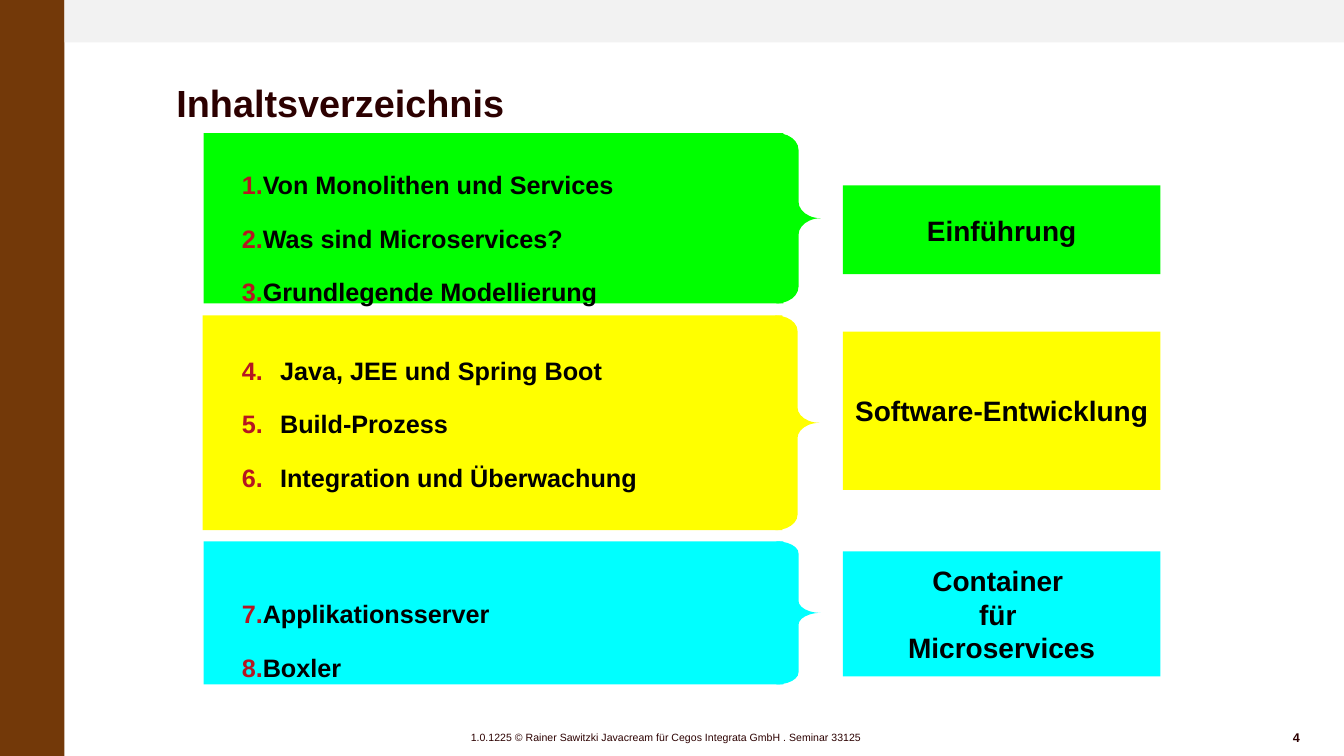
import pptx
import pptx.util
import pptx.dml.color
import pptx.enum.shapes
import pptx.enum.text
from lxml import etree

Inches = pptx.util.Inches
Pt = pptx.util.Pt
SHAPES = pptx.enum.shapes.MSO_SHAPE
ALIGN = pptx.enum.text.PP_ALIGN
ANCHOR = pptx.enum.text.MSO_ANCHOR
COLORS = {
    "brown": "733909", "gray": "F2F2F2", "dark": "2C0000", "black": "000000",
    "red": "B51621", "green": "00FF00", "yellow": "FFFF00", "cyan": "00FFFF",
}

presentation = pptx.Presentation()
presentation.slide_width = Inches(13.33)
presentation.slide_height = Inches(7.5)
slide = presentation.slides.add_slide(presentation.slide_layouts[6])


def add_block(kind, left, top, width, height, color):
    shape = slide.shapes.add_shape(
        kind, Inches(left), Inches(top), Inches(width), Inches(height))
    shape.shadow.inherit = False
    shape.fill.solid()
    shape.fill.fore_color.rgb = pptx.dml.color.RGBColor.from_string(COLORS[color])
    shape.line.fill.background()
    return shape


def add_text(paragraph, text, size, color, bold=True):
    run = paragraph.add_run()
    run.text = text
    run.font.name = "Arial"
    run.font.size = Pt(size)
    run.font.bold = bold
    run.font.color.rgb = pptx.dml.color.RGBColor.from_string(COLORS[color])


# Page frame
add_block(SHAPES.RECTANGLE, 0, 0, 0.64, 7.5, "brown")
add_block(SHAPES.RECTANGLE, 0.64, 0, 12.69, 0.42, "gray")

# Title, footer and page number: box, margins, anchor, alignment, text, size, bold
labels = [
    ((1.63, 0.77, 11.37, 0.59), (0.12, 0.12, 0, 0.12), ANCHOR.BOTTOM, ALIGN.LEFT,
     "Inhaltsverzeichnis", 27, True),
    ((4.67, 7.25, 4.33, 0.13), (0, 0, 0.04, 0), ANCHOR.MIDDLE, ALIGN.LEFT,
     "1.0.1225 © Rainer Sawitzki Javacream für Cegos Integrata GmbH . Seminar 33125",
     7.5, False),
    ((12.29, 7.2, 0.7, 0.23), (0.1, 0.05, 0.1, 0.05), ANCHOR.MIDDLE, ALIGN.RIGHT,
     "4", 9, True),
]
for box, margins, anchor, alignment, text, size, bold in labels:
    frame = slide.shapes.add_textbox(*map(Inches, box)).text_frame
    frame.word_wrap = True
    frame.vertical_anchor = anchor
    (frame.margin_left, frame.margin_top,
     frame.margin_right, frame.margin_bottom) = map(Inches, margins)
    paragraph = frame.paragraphs[0]
    paragraph.alignment = alignment
    if size == 27:
        paragraph.line_spacing = Pt(25)
    add_text(paragraph, text, size, "dark", bold)

# Sections: colour, left, top, height, brace curve, topic top, topic height, topic lines
sections = [
    ("green", 2.02, 1.32, 1.69, 0.376, 1.84, 0.88, ["Einführung"]),
    ("yellow", 2.01, 3.13, 2.13, 0.347, 3.29, 1.57, ["Software-Entwicklung"]),
    ("cyan", 2.02, 5.37, 1.42, 0.271, 5.47, 1.24,
     ["Container ", "für ", "Microservices"]),
]
for color, left, top, height, curve, topic_top, topic_height, lines in sections:
    add_block(SHAPES.RECTANGLE, left, top, 5.75, height, color)
    brace = add_block(SHAPES.RIGHT_BRACE, left + 5.68, top, 0.44, height, color)
    brace.adjustments[0] = curve
    topic = add_block(SHAPES.RECTANGLE, 8.36, topic_top, 3.15, topic_height, color)
    frame = topic.text_frame
    frame.word_wrap = False
    frame.vertical_anchor = ANCHOR.MIDDLE
    for index, line in enumerate(lines):
        paragraph = frame.add_paragraph() if index else frame.paragraphs[0]
        paragraph.alignment = ALIGN.CENTER
        add_text(paragraph, line, 20, "black")

# Chapters: first number, hanging indent, gap above the group, titles
chapters = [
    (1, 0, 0, ["Von Monolithen und Services", "Was sind Microservices?",
               "Grundlegende Modellierung"]),
    (4, 0.38, 19.5, ["Java, JEE und Spring Boot", "Build-Prozess",
                     "Integration und Überwachung"]),
    (7, 0, 60.5, ["Applikationsserver", "Boxler"]),
]
frame = slide.shapes.add_textbox(
    Inches(2.3), Inches(1.42), Inches(6.67), Inches(5.44)).text_frame
frame.word_wrap = True
for first, indent, gap, titles in chapters:
    for index, title in enumerate(titles):
        number = first + index
        paragraph = frame.paragraphs[0] if number == 1 else frame.add_paragraph()
        paragraph.line_spacing = 1.7
        if number > 1:
            paragraph.space_before = Pt(1.6 if index else gap)
        properties = paragraph._p.get_or_add_pPr()
        properties.set("marL", str(Inches(indent)))
        properties.set("indent", str(-Inches(indent)))
        namespace = "{%s}" % properties.nsmap["a"]
        bullet_color = etree.SubElement(properties, namespace + "buClr")
        etree.SubElement(bullet_color, namespace + "srgbClr", val=COLORS["red"])
        etree.SubElement(properties, namespace + "buFont", typeface="Arial")
        etree.SubElement(properties, namespace + "buAutoNum",
                         type="arabicPeriod", startAt=str(first))
        add_text(paragraph, title, 18, "black")

presentation.save("out.pptx")
